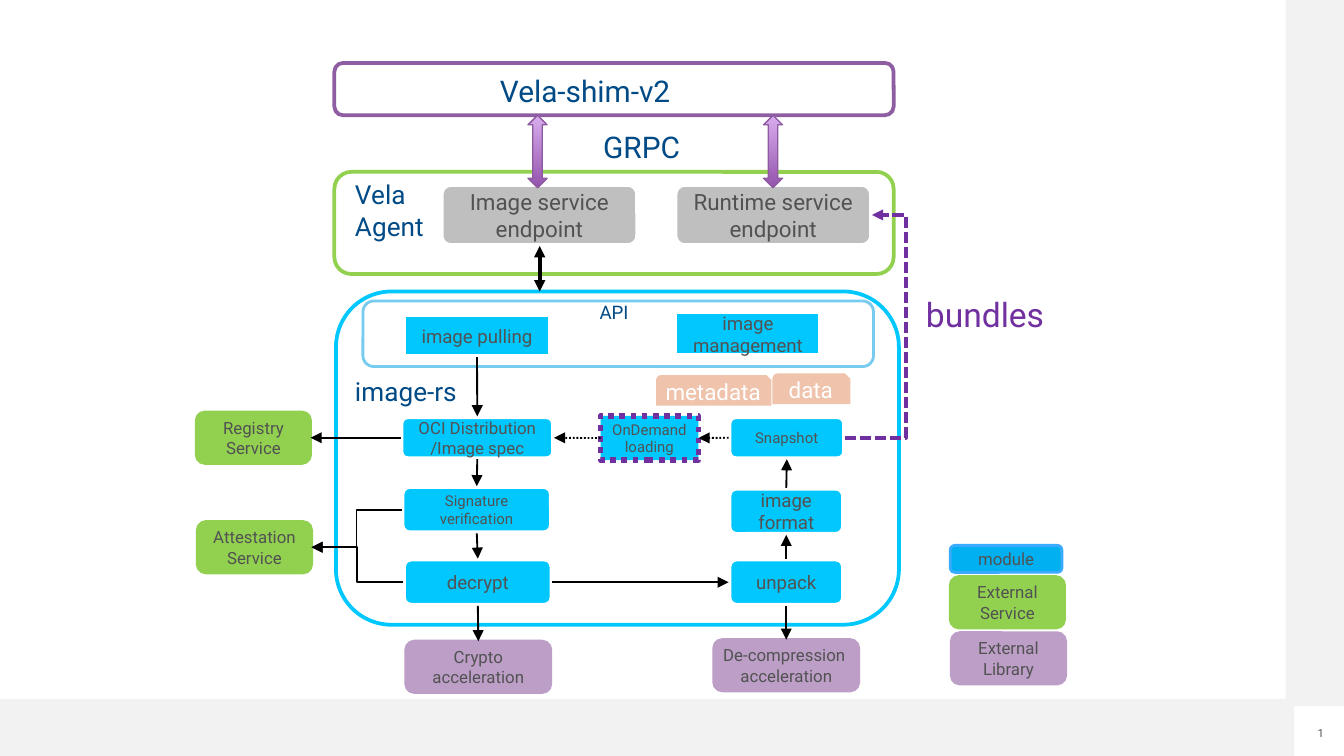
from lxml.etree import SubElement
from pptx import Presentation
from pptx.dml.color import RGBColor
from pptx.enum.dml import MSO_LINE
from pptx.enum.shapes import MSO_CONNECTOR, MSO_SHAPE
from pptx.enum.text import MSO_ANCHOR, PP_ALIGN
from pptx.oxml.ns import qn
from pptx.util import Cm, Pt

FONT = "Roboto"
WHITE = RGBColor(0xFF, 0xFF, 0xFF)
BLACK = RGBColor(0, 0, 0)
PALE = RGBColor(0xF2, 0xF2, 0xF2)
GREY = RGBColor(0xBF, 0xBF, 0xBF)
DARK = RGBColor(0x52, 0x52, 0x52)
NAVY = RGBColor(0x00, 0x4A, 0x86)
CYAN = RGBColor(0x00, 0xC7, 0xFD)
SKY = RGBColor(0x76, 0xCB, 0xEF)
BLUE = RGBColor(0x00, 0xB0, 0xF0)
BLUE_EDGE = RGBColor(0x3A, 0xAB, 0xFF)
GREEN = RGBColor(0x92, 0xD0, 0x50)
LILAC = RGBColor(0xBC, 0x9E, 0xC7)
PEACH = RGBColor(0xF0, 0xC3, 0xAC)
PURPLE = RGBColor(0x70, 0x30, 0xA0)
SHIM_EDGE = RGBColor(0x8F, 0x5D, 0xA2)
ARROW_EDGE = RGBColor(0x8D, 0x59, 0xA0)
ARROW_DARK = RGBColor(0x94, 0x53, 0xAC)
ARROW_LIGHT = RGBColor(0xD9, 0xAD, 0xEE)

ROUND = MSO_SHAPE.ROUNDED_RECTANGLE
RECT = MSO_SHAPE.RECTANGLE
SNIP = MSO_SHAPE.SNIP_ROUND_RECTANGLE
DOTTED = MSO_LINE.ROUND_DOT
DASHED = MSO_LINE.SQUARE_DOT
TOP, LEFT, BOTTOM, RIGHT = range(4)

# Every place is (left, top, width, height) in centimetres.
BARS = [(0, 13.21, 24.46, 1.08), (24.3, 0, 1.1, 13.35)]
PANELS = [  # place, edge colour, edge width
    ((6.32, 3.25, 10.57, 1.93), GREEN, 2),
    ((6.32, 1.19, 10.57, 0.99), SHIM_EDGE, 2),
    ((6.35, 5.51, 10.64, 6.3), CYAN, 2),
    ((6.86, 5.69, 9.65, 1.24), SKY, 1.5),
]
LABELS = [  # text, place, size, colour, alignment
    ("Vela \nAgent", (6.71, 3.38, 4.06, 1.19), 14, NAVY, PP_ALIGN.LEFT),
    ("Vela-shim-v2", (9.45, 1.37, 4.06, 0.69), 16, NAVY, PP_ALIGN.LEFT),
    ("GRPC", (11.4, 2.44, 4.06, 0.69), 16, NAVY, PP_ALIGN.LEFT),
    ("image-rs", (6.71, 7.09, 2.46, 0.6), 14, NAVY, PP_ALIGN.LEFT),
    ("API", (11.15, 5.69, 0.91, 0.45), 10, NAVY, PP_ALIGN.CENTER),
    ("bundles", (17.5, 5.56, 2.57, 0.76), 18, PURPLE, PP_ALIGN.LEFT),
    ("1", (24.82, 13.72, 0.28, 0.25), 6, DARK, PP_ALIGN.CENTER),
]
STYLES = {  # shape, fill, edge colour, edge width, text colour
    "endpoint": (ROUND, GREY, WHITE, 3, DARK),
    "step": (ROUND, CYAN, WHITE, 3, DARK),
    "call": (RECT, CYAN, WHITE, 3, DARK),
    "lazy": (RECT, CYAN, PURPLE, 3, DARK),
    "service": (ROUND, GREEN, GREEN, 1.5, DARK),
    "library": (ROUND, LILAC, LILAC, 1.5, DARK),
    "module": (ROUND, BLUE, BLUE_EDGE, 1.5, DARK),
    "store": (SNIP, PEACH, None, 0, WHITE),
}
BOXES = {  # name: text, style, size, place
    "image service": ("Image service endpoint", "endpoint", 12, (8.33, 3.48, 3.73, 1.17)),
    "runtime": ("Runtime service endpoint", "endpoint", 12, (12.75, 3.48, 3.73, 1.17)),
    "management": ("image management", "call", 10, (12.75, 5.89, 2.77, 0.84)),
    "pulling": ("image pulling", "call", 10, (7.62, 5.94, 2.79, 0.81)),
    "distribution": ("OCI Distribution\n/Image spec", "step", 9, (7.57, 7.87, 2.9, 0.81)),
    "signature": ("Signature\nverification", "step", 8, (7.59, 9.19, 2.84, 0.89)),
    "decrypt": ("decrypt", "step", 10, (7.62, 10.56, 2.82, 0.89)),
    "on demand": ("OnDemand\nloading", "lazy", 8, (11.35, 7.86, 1.85, 0.84)),
    "snapshot": ("Snapshot", "step", 8, (13.77, 7.87, 2.2, 0.81)),
    "format": ("image\nformat", "step", 10, (13.77, 9.22, 2.18, 0.89)),
    "unpack": ("unpack", "step", 10, (13.77, 10.56, 2.18, 0.89)),
    "registry": ("Registry\nService", "service", 9, (3.71, 7.79, 2.16, 0.97)),
    "attestation": ("Attestation\nService", "service", 9, (3.73, 9.86, 2.16, 0.97)),
    "crypto": ("Crypto acceleration", "library", 9, (7.67, 12.12, 2.74, 0.97)),
    "decompression": ("De-compression \nacceleration", "library", 9, (13.49, 12.09, 2.74, 0.97)),
    "module key": ("module", "module", 9, (17.96, 10.31, 2.11, 0.51)),
    "service key": ("External\nService", "service", 9, (17.96, 10.9, 2.16, 0.97)),
    "library key": ("External\nLibrary", "library", 9, (17.98, 11.96, 2.16, 0.97)),
    "metadata": ("metadata", "store", 12, (12.4, 7.09, 2.18, 0.58)),
    "data": ("data", "store", 12, (14.6, 7.06, 1.47, 0.58)),
}
LINKS = [  # from box, side, to box, side, dash
    ("pulling", BOTTOM, "distribution", TOP, None),
    ("distribution", BOTTOM, "signature", TOP, None),
    ("signature", BOTTOM, "decrypt", TOP, None),
    ("decrypt", BOTTOM, "crypto", TOP, None),
    ("decrypt", RIGHT, "unpack", LEFT, None),
    ("unpack", BOTTOM, "decompression", TOP, None),
    ("unpack", TOP, "format", BOTTOM, None),
    ("format", TOP, "snapshot", BOTTOM, None),
    ("snapshot", LEFT, "on demand", RIGHT, DOTTED),
    ("on demand", LEFT, "distribution", RIGHT, DOTTED),
    ("distribution", LEFT, "registry", RIGHT, None),
]
GRPC_ARROWS = [(left, 2.18, 0.36, 1.37) for left in (9.98, 14.43)]


def add_shape(kind, place, fill, edge=None, width=0):
    """Add a flat shape with an optional outline."""
    shape = page.shapes.add_shape(kind, *map(Cm, place))
    shape.shadow.inherit = False
    shape.fill.solid()
    shape.fill.fore_color.rgb = fill
    if edge is None:
        shape.line.fill.background()
    else:
        shape.line.color.rgb = edge
        shape.line.width = Pt(width)
    return shape


def write(shape, text, size, color, align, inset):
    """Put formatted text into a shape, one paragraph per line."""
    frame = shape.text_frame
    frame.word_wrap = True
    frame.margin_left = frame.margin_right = Cm(inset)
    frame.margin_top = frame.margin_bottom = Cm(inset)
    frame.text = text
    for paragraph in frame.paragraphs:
        paragraph.alignment = align
        paragraph.font.name = FONT
        paragraph.font.size = Pt(size)
        paragraph.font.color.rgb = color


def add_box(text, style, size, place):
    """Add a labelled box in one of the named styles."""
    kind, fill, edge, width, color = STYLES[style]
    box = add_shape(kind, place, fill, edge, width)
    write(box, text, size, color, PP_ALIGN.CENTER, 0.13)
    box.text_frame.vertical_anchor = MSO_ANCHOR.MIDDLE
    return box


def add_arrow(kind, color=BLACK, width=1, dash=None, ends=("tailEnd",), points=(0, 0, 0, 0)):
    """Add a connector with triangular heads."""
    arrow = page.shapes.add_connector(kind, *points)
    arrow.line.color.rgb = color
    arrow.line.width = Pt(width)
    if dash:
        arrow.line.dash_style = dash
    line = arrow.line._get_or_add_ln()
    for end in ends:
        SubElement(line, qn("a:" + end), type="triangle")
    SubElement(arrow._element.spPr, qn("a:effectLst"))
    return arrow


def link(arrow, start, start_side, finish, finish_side):
    """Glue an arrow to the sides of two boxes."""
    arrow.begin_connect(boxes[start], start_side)
    arrow.end_connect(boxes[finish], finish_side)


deck = Presentation()
deck.slide_width, deck.slide_height = Cm(25.4), Cm(14.29)
page = deck.slides.add_slide(deck.slide_layouts[6])

for place in BARS:
    add_shape(RECT, place, PALE)
for place, edge, width in PANELS:
    add_shape(ROUND, place, WHITE, edge, width)
for text, place, size, color, align in LABELS:
    write(page.shapes.add_textbox(*map(Cm, place)), text, size, color, align, 0)

boxes = {name: add_box(*box) for name, box in BOXES.items()}
boxes["on demand"].line.dash_style = DOTTED

for place in GRPC_ARROWS:
    arrow = add_shape(MSO_SHAPE.UP_DOWN_ARROW, place, ARROW_DARK, ARROW_EDGE, 0.75)
    arrow.fill.gradient()
    arrow.fill.gradient_angle = 90
    for stop, color in zip(arrow.fill.gradient_stops, (ARROW_DARK, ARROW_LIGHT)):
        stop.color.rgb = color

for start, start_side, finish, finish_side, dash in LINKS:
    link(add_arrow(MSO_CONNECTOR.STRAIGHT, dash=dash), start, start_side, finish, finish_side)
for start in ("signature", "decrypt"):
    link(add_arrow(MSO_CONNECTOR.ELBOW), start, LEFT, "attestation", RIGHT)

bundles = add_arrow(MSO_CONNECTOR.ELBOW, PURPLE, 2, DASHED)
link(bundles, "snapshot", RIGHT, "runtime", RIGHT)
adjustments = bundles._element.spPr.find(qn("a:prstGeom")).get_or_add_avLst()
SubElement(adjustments, qn("a:gd"), name="adj1", fmla="val 225000")

add_arrow(MSO_CONNECTOR.STRAIGHT, width=2, ends=("headEnd", "tailEnd"),
          points=[Cm(value) for value in (10.2, 4.65, 10.2, 5.51)])

deck.save("out.pptx")
